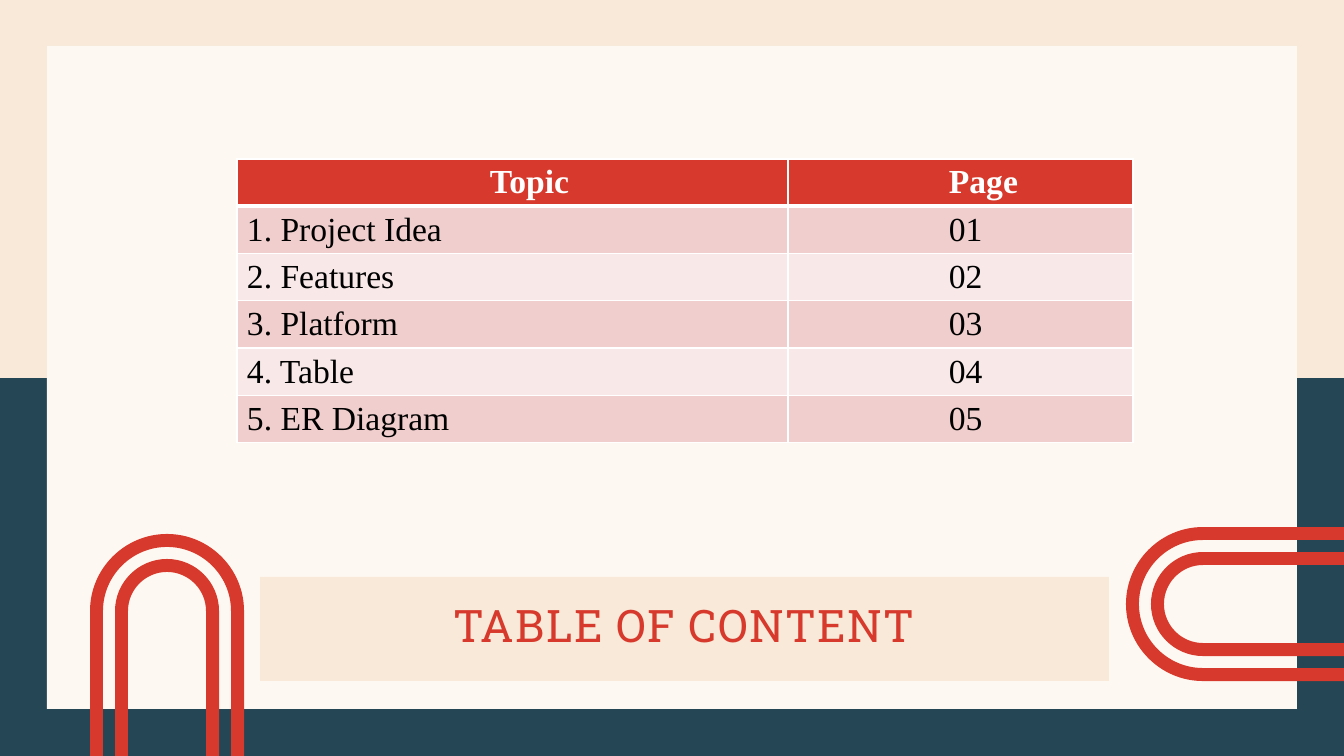
from pptx import Presentation
from pptx.dml.color import RGBColor
from pptx.enum.shapes import MSO_SHAPE as Shape
from pptx.enum.text import MSO_ANCHOR as Anchor, MSO_AUTO_SIZE as AutoSize, PP_ALIGN as Align
from pptx.oxml.ns import qn
from pptx.util import Emu, Pt
from lxml.etree import SubElement

SCALE = 12192000 / 1344
WIDTH, HEIGHT = 1344, 756
ROUND = 0.55  # Bezier handle length of a quarter circle

CREAM = RGBColor(0xF8, 0xE9, 0xD8)
IVORY = RGBColor(0xFE, 0xF8, 0xF2)
NAVY = RGBColor(0x24, 0x46, 0x55)
RED = RGBColor(0xD7, 0x3A, 0x2C)
ROSE = RGBColor(0xF0, 0xCE, 0xCD)
BLUSH = RGBColor(0xF8, 0xE8, 0xE8)
WHITE = RGBColor(0xFF, 0xFF, 0xFF)
BLACK = RGBColor(0, 0, 0)

TOPICS = ["Project Idea", "Features", "Platform", "Table", "ER Diagram"]


def px(length):
    return Emu(round(length * SCALE))


def paint(shape, color):
    shape.shadow.inherit = False
    shape.fill.solid()
    shape.fill.fore_color.rgb = color
    shape.line.fill.background()


def add_backdrop(page):
    """Cream page, navy lower half and ivory panel."""
    page.background.fill.solid()
    page.background.fill.fore_color.rgb = CREAM
    half = HEIGHT // 2
    for box, color in (((0, half, WIDTH, half), NAVY), ((47, 46, 1250, 663), IVORY)):
        paint(page.shapes.add_shape(Shape.RECTANGLE, *map(px, box)), color)


def bend_corners(shape):
    """Turn the line triples of each quarter circle into one curve."""
    lines = list(shape._element.iter(qn("a:lnTo")))
    for first in (1, 4, 10, 13):
        triple = lines[first:first + 3]
        curve = triple[0].makeelement(qn("a:cubicBezTo"))
        triple[0].addprevious(curve)
        for line in triple:
            curve.append(line[0])
            line.getparent().remove(line)


def add_arch(page, box, upright):
    """Two nested round-ended bands that run off the page edge."""
    left, top, width, height = box
    center = min(width, height) / 2
    length = max(width, height)

    def edge(radius):
        near, far = center - radius, center + radius
        handle = ROUND * radius
        return [(length, near), (center, near),
                (center - handle, near), (near, center - handle), (near, center),
                (near, center + handle), (center - handle, far), (center, far),
                (length, far)]

    for outer, inner in ((77, 64), (52, 39)):
        points = [(px(left + (across if upright else along)),
                   px(top + (along if upright else across)))
                  for along, across in edge(outer) + edge(inner)[::-1]]
        builder = page.shapes.build_freeform(*points[0])
        builder.add_line_segments(points[1:], close=True)
        band = builder.convert_to_shape()
        bend_corners(band)
        paint(band, RED)


def add_title(page, box, text):
    title = page.shapes.title
    page.shapes._spTree.append(title._element)  # bring in front of the backdrop
    title.left, title.top, title.width, title.height = map(px, box)
    title.fill.solid()
    title.fill.fore_color.rgb = CREAM
    frame = title.text_frame
    frame.text = text
    frame.word_wrap = True
    frame.auto_size = AutoSize.NONE
    frame.vertical_anchor = Anchor.MIDDLE
    frame.margin_left = frame.margin_right = px(13)
    frame.margin_top = frame.margin_bottom = px(7)
    para = frame.paragraphs[0]
    para.alignment = Align.CENTER
    para.line_spacing = 0.85
    para.space_after = Pt(6)
    span = para.runs[0]
    span.font.name, span.font.size = "Roboto Slab", Pt(32)
    span.font.color.rgb = RED
    span.font._element.set("spc", "100")


def add_borders(cell, bottom, top):
    props = cell._tc.get_or_add_tcPr()
    for side, points in (("L", 1), ("R", 1), ("T", top), ("B", bottom)):
        line = SubElement(props, qn(f"a:ln{side}"), w=str(Pt(points)))
        fill = SubElement(line, qn("a:solidFill"))
        SubElement(fill, qn("a:srgbClr"), val=str(WHITE))


def add_contents(page, box):
    rows = [("Topic", "Page")]
    rows += [(f"{n}. {topic}", f"{n:02}") for n, topic in enumerate(TOPICS, 1)]
    table = page.shapes.add_table(len(rows), 2, *map(px, box)).table
    table.horz_banding = False
    table.columns[0].width = px(551)
    table.columns[1].width = px(box[2] - 551)
    for r, texts in enumerate(rows):
        header = r == 0
        for c, text in enumerate(texts):
            cell = table.cell(r, c)
            add_borders(cell, bottom=3 if header else 1, top=3 if r == 1 else 1)
            cell.fill.solid()
            cell.fill.fore_color.rgb = RED if header else (BLUSH, ROSE)[r % 2]
            # Page numbers share one indent; the topic heading has its own
            cell.margin_left = px(161 if c else 253 if header else 10)
            cell.text_frame.text = text
            font = cell.text_frame.paragraphs[0].runs[0].font
            font.name, font.size, font.bold = "Times New Roman", Pt(24), header
            font.color.rgb = WHITE if header else BLACK


def main():
    deck = Presentation()
    deck.slide_width, deck.slide_height = px(WIDTH), px(HEIGHT)
    page = deck.slides.add_slide(deck.slide_layouts[5])
    add_backdrop(page)
    add_arch(page, (1126, 527, 218, 154), upright=False)
    add_arch(page, (90, 534, 154, 222), upright=True)
    add_title(page, (260, 577, 849, 104), "TABLE OF CONTENT")
    add_contents(page, (237, 159, 896, 282))
    deck.save("out.pptx")


if __name__ == "__main__":
    main()
